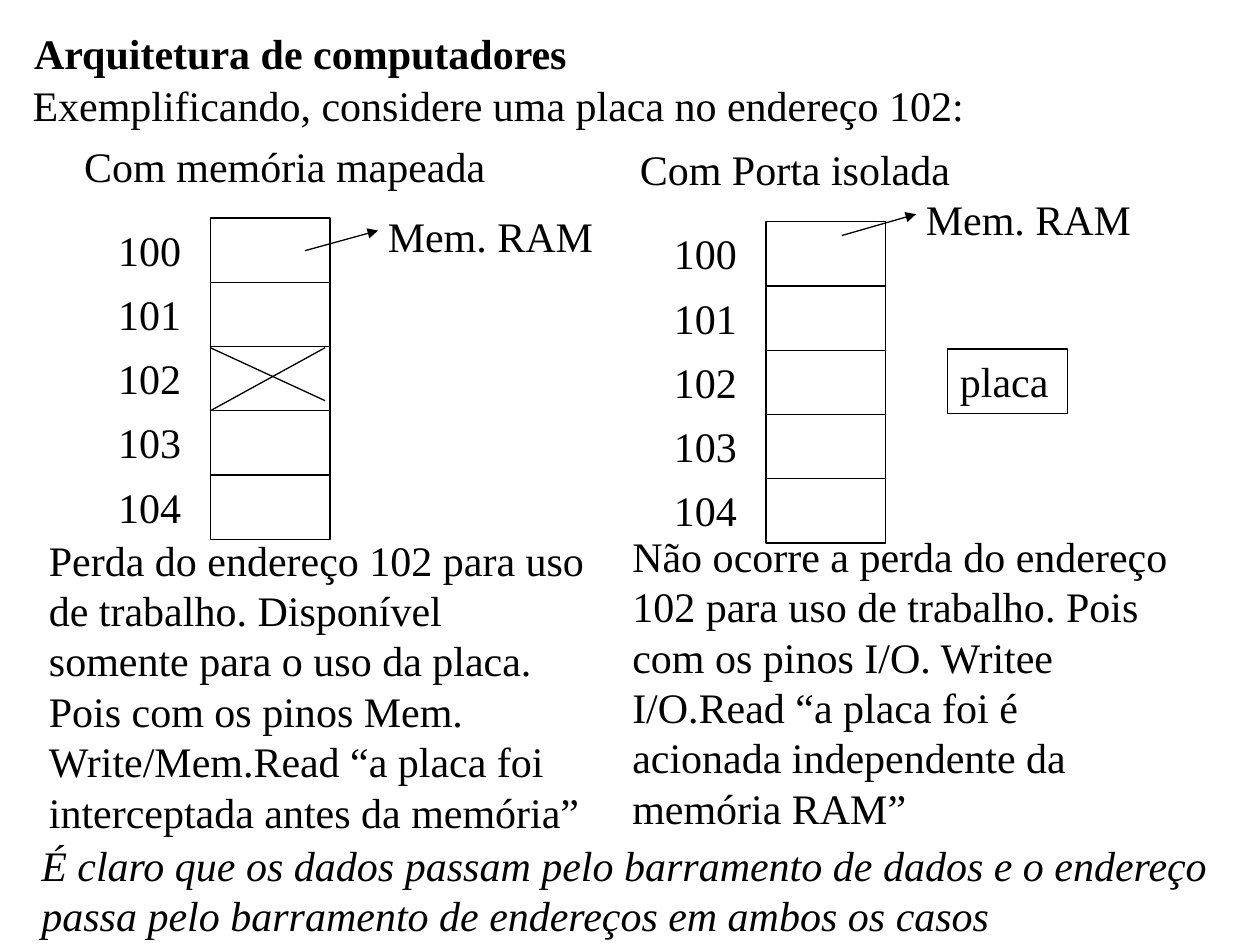
from pptx import Presentation
from pptx.dml.color import RGBColor
from pptx.enum.shapes import MSO_CONNECTOR, MSO_SHAPE
from pptx.enum.text import MSO_ANCHOR, MSO_AUTO_SIZE, PP_ALIGN
from pptx.oxml.ns import qn
from pptx.util import Inches, Pt
from lxml import etree

LINE = MSO_CONNECTOR.STRAIGHT
RECT = MSO_SHAPE.RECTANGLE
TOP, LEFT = MSO_ANCHOR.TOP, PP_ALIGN.LEFT
NO_FIT = MSO_AUTO_SIZE.NONE
BLACK = RGBColor(0, 0, 0)
FONT = "Times New Roman"

TITLE = "Arquitetura de computadores"
INTRO = "Exemplificando, considere uma placa no endereço 102:"
RAM = "Mem. RAM"
CARD = "placa"
CELLS = ["100", "101", "102", "103", "104"]
PITCH = 0.51
CELL_W = 0.95

# Each memory map: heading, cell origin, arrow ends, RAM label, explanation
MAPS = [
    {
        "head": ("Com memória mapeada", 0.57, 1.07, 3.38),
        "cells": (1.67, 1.73),
        "arrow": (2.42, 1.99, 3.0, 1.83),
        "ram": (2.98, 1.62),
        "note": (0.29, 4.19),
        "paras": [
            "Perda do endereço 102 para uso de trabalho. Disponível "
            "somente para o uso da placa.",
            "Pois com os pinos Mem. Write/Mem.Read “a placa foi "
            "interceptada antes da memória”",
        ],
    },
    {
        "head": ("Com Porta isolada", 4.98, 1.09, 2.66),
        "cells": (6.08, 1.76),
        "arrow": (6.68, 1.87, 7.27, 1.7),
        "ram": (7.25, 1.49),
        "note": (4.92, 4.16),
        "paras": [
            "Não ocorre a perda do endereço 102 para uso de trabalho. "
            "Pois com os pinos I/O. Writee I/O.Read “a placa foi é "
            "acionada independente da memória RAM”",
        ],
    },
]
CROSS = [(1.67, 2.76, 2.58, 3.18), (1.67, 3.26, 2.58, 2.76)]
CLOSING = [
    "É claro que os dados passam pelo barramento de dados e o endereço",
    "passa pelo barramento de endereços em ambos os casos",
]


def write(shape, *paras, bold=False, italic=False, wrap=False):
    frame = shape.text_frame
    frame.text = "\n".join(paras)
    frame.auto_size = NO_FIT
    frame.word_wrap = wrap
    frame.vertical_anchor = TOP
    for para in frame.paragraphs:
        para.alignment = LEFT
        font = para.runs[0].font
        font.name, font.size = FONT, Pt(24)
        font.bold, font.italic = bold, italic
        font.color.rgb = BLACK


def label(slide, x, y, w, *paras, h=0.5, **style):
    box = slide.shapes.add_textbox(Inches(x), Inches(y), Inches(w), Inches(h))
    write(box, *paras, **style)


def cell(slide, x, y):
    box = slide.shapes.add_shape(
        RECT, Inches(x), Inches(y), Inches(CELL_W), Inches(PITCH))
    box.shadow.inherit = False
    box.fill.background()
    box.line.color.rgb = BLACK
    box.line.width = Pt(0.75)
    return box


def stroke(slide, ends, arrow=False):
    line = slide.shapes.add_connector(LINE, *map(Inches, ends))
    line.line.color.rgb = BLACK
    line.line.width = Pt(0.75)
    if arrow:
        ln = line.line._get_or_add_ln()
        etree.SubElement(ln, qn("a:tailEnd"), type="triangle")
    etree.SubElement(line._element.spPr, qn("a:effectLst"))


def memory(slide, data):
    text, x, y, w = data["head"]
    label(slide, x, y, w, text)
    x, y = data["cells"]
    for row, name in enumerate(CELLS):
        top = y + row * PITCH
        cell(slide, x, top)
        label(slide, x - 0.83, top, 0.7, name)
    stroke(slide, data["arrow"], arrow=True)
    label(slide, *data["ram"], 1.83, RAM)
    label(slide, *data["note"], 4.5, *data["paras"], h=2.5, wrap=True)


def main():
    deck = Presentation()
    deck.slide_width, deck.slide_height = Inches(10), Inches(7.5)
    slide = deck.slides.add_slide(deck.slide_layouts[5])

    title = slide.shapes.title
    title.left, title.top = Inches(0.17), Inches(0.17)
    title.width, title.height = Inches(4.44), Inches(0.5)
    write(title, TITLE, bold=True)
    label(slide, 0.16, 0.58, 7.59, INTRO)

    for data in MAPS:
        memory(slide, data)
    for ends in CROSS:
        stroke(slide, ends)
    write(cell(slide, 7.52, 2.77), CARD, wrap=True)
    label(slide, 0.23, 6.61, 9.56, *CLOSING, h=0.9, italic=True)
    deck.save("out.pptx")


if __name__ == "__main__":
    main()
